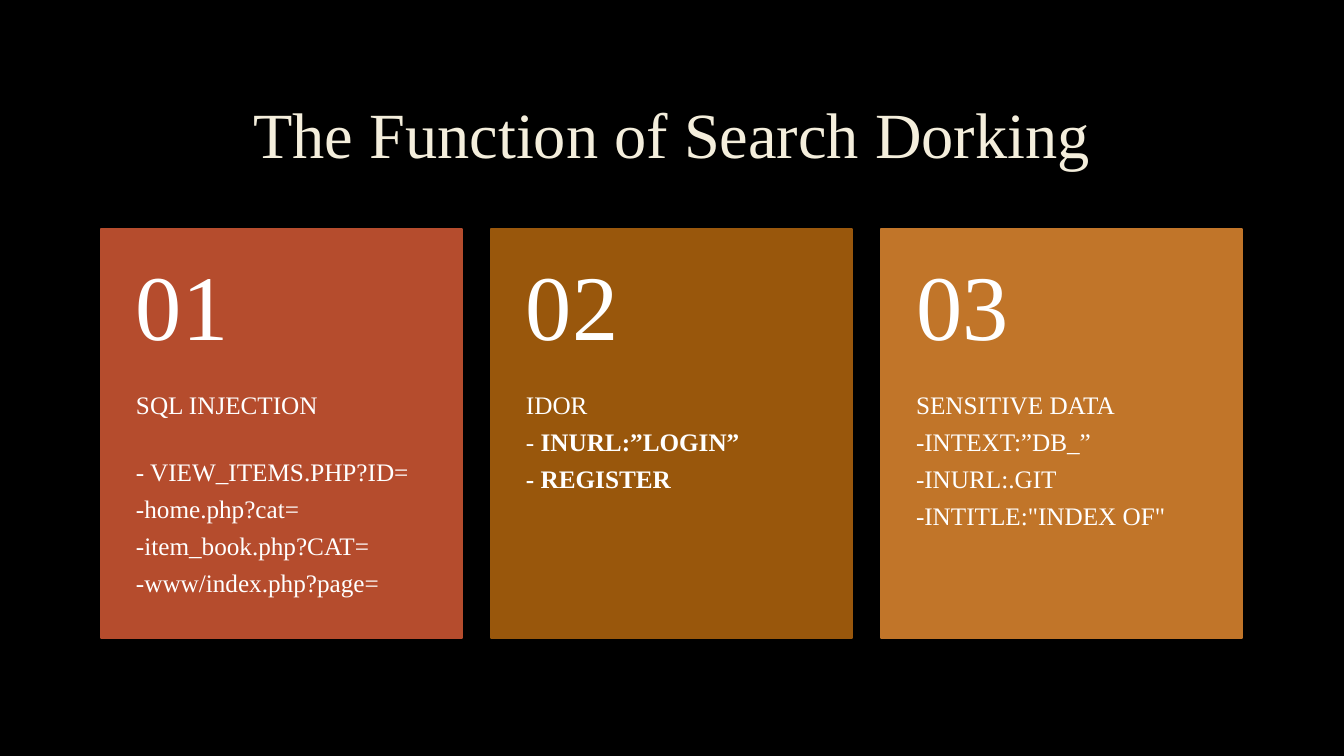
"""Build the slide on the function of search dorking."""
from pptx import Presentation
from pptx import util as u
from pptx.dml.color import RGBColor
from pptx.enum import shapes, text

EMU_PER_PX = 914400 / 100.8
COLORS = {
    "background": "000000",
    "title": "F4EEDC",
    "white": "FFFFFF",
    "rust": "B54C2D",
    "brown": "99570C",
    "amber": "C17529",
}
CARDS = [
    ("rust", 28.5, [
        [("SQL INJECTION", False)],
        [("- VIEW_ITEMS.PHP?ID=", False)],
        [("-home.php?cat=", False)],
        [("-item_book.php?CAT=", False)],
        [("-www/index.php?page=", False)],
    ]),
    ("brown", 7, [
        [("IDOR", False)],
        [("- ", False), ("INURL:”LOGIN”", True)],
        [("- REGISTER", True)],
    ]),
    ("amber", 7, [
        [("SENSITIVE DATA", False)],
        [("-INTEXT:”DB_”", False)],
        [("-INURL:.GIT", False)],
        [("-INTITLE:\"INDEX OF\"", False)],
    ]),
]
CARD_LEFT, CARD_TOP, CARD_WIDTH, CARD_HEIGHT = 101, 229, 361, 409
CARD_STEP, NUMBER_HEIGHT = 390, 164


def px(length):
    """Turn pixels into EMU."""
    return u.Emu(round(length * EMU_PER_PX))


def color(name):
    """Look up a named colour."""
    return RGBColor.from_string(COLORS[name])


def write(frame, paragraphs, *, size, ink="white", font="Times New Roman",
          align=text.PP_ALIGN.LEFT, anchor=text.MSO_ANCHOR.TOP,
          insets=(10, 5, 10, 5), after=0, heading_after=0):
    """Fill a frame with paragraphs, each a list of (words, bold) runs."""
    frame.word_wrap = True
    frame.auto_size = text.MSO_AUTO_SIZE.NONE
    frame.vertical_anchor = anchor
    (frame.margin_left, frame.margin_top,
     frame.margin_right, frame.margin_bottom) = map(px, insets)
    for index, runs in enumerate(paragraphs):
        line = frame.add_paragraph() if index else frame.paragraphs[0]
        line.alignment = align
        line.line_spacing = 0.9
        line.space_before = u.Pt(0)
        line.space_after = u.Pt(after if index else heading_after)
        for words, bold in runs:
            run = line.add_run()
            run.text = words
            run.font.name = font
            run.font.size = u.Pt(size)
            run.font.bold = bold
            run.font.color.rgb = color(ink)


class Deck:
    """Hold the presentation style and the current slide."""

    def __init__(self):
        """Open a black title-only slide."""
        self.file = Presentation()
        self.file.slide_width, self.file.slide_height = px(1344), px(756)
        self.slide = self.file.slides.add_slide(self.file.slide_layouts[5])
        self.slide.background.fill.solid()
        self.slide.background.fill.fore_color.rgb = color("background")

    def title(self, words, left, top, width, height):
        """Place and format the title."""
        heading = self.slide.shapes.title
        heading.left, heading.top = px(left), px(top)
        heading.width, heading.height = px(width), px(height)
        write(heading.text_frame, [[(words, False)]], size=46, ink="title",
              align=text.PP_ALIGN.CENTER, anchor=text.MSO_ANCHOR.MIDDLE)

    def panel(self, fill, left, top, width, height):
        """Draw a plain coloured rectangle."""
        panel = self.slide.shapes.add_shape(
            shapes.MSO_SHAPE.RECTANGLE, *map(px, (left, top, width, height)))
        panel.shadow.inherit = False
        panel.fill.solid()
        panel.fill.fore_color.rgb = color(fill)
        panel.line.color.rgb = color(fill)
        panel.line.width = u.Pt(1.25)

    def label(self, paragraphs, left, top, width, height, **style):
        """Add a text box."""
        label = self.slide.shapes.add_textbox(
            *map(px, (left, top, width, height)))
        write(label.text_frame, paragraphs, **style)

    def card(self, number, fill, heading_after, lines):
        """Draw one numbered card with its list of queries."""
        left = CARD_LEFT + (number - 1) * CARD_STEP
        self.panel(fill, left, CARD_TOP, CARD_WIDTH, CARD_HEIGHT)
        self.label(lines, left, CARD_TOP + NUMBER_HEIGHT, CARD_WIDTH,
                   CARD_HEIGHT - NUMBER_HEIGHT, size=18,
                   insets=(35, 0, 35, 36), after=7,
                   heading_after=heading_after)
        self.label([[(f"{number:02}", False)]], left, CARD_TOP, CARD_WIDTH,
                   NUMBER_HEIGHT, size=66, insets=(35, 18, 35, 18),
                   anchor=text.MSO_ANCHOR.MIDDLE)


def main():
    """Build and save the slide."""
    deck = Deck()
    deck.title("The Function of Search Dorking", 101, 68, 1141, 139)
    for number, card in enumerate(CARDS, 1):
        deck.card(number, *card)
    deck.file.save("out.pptx")


if __name__ == "__main__":
    main()
